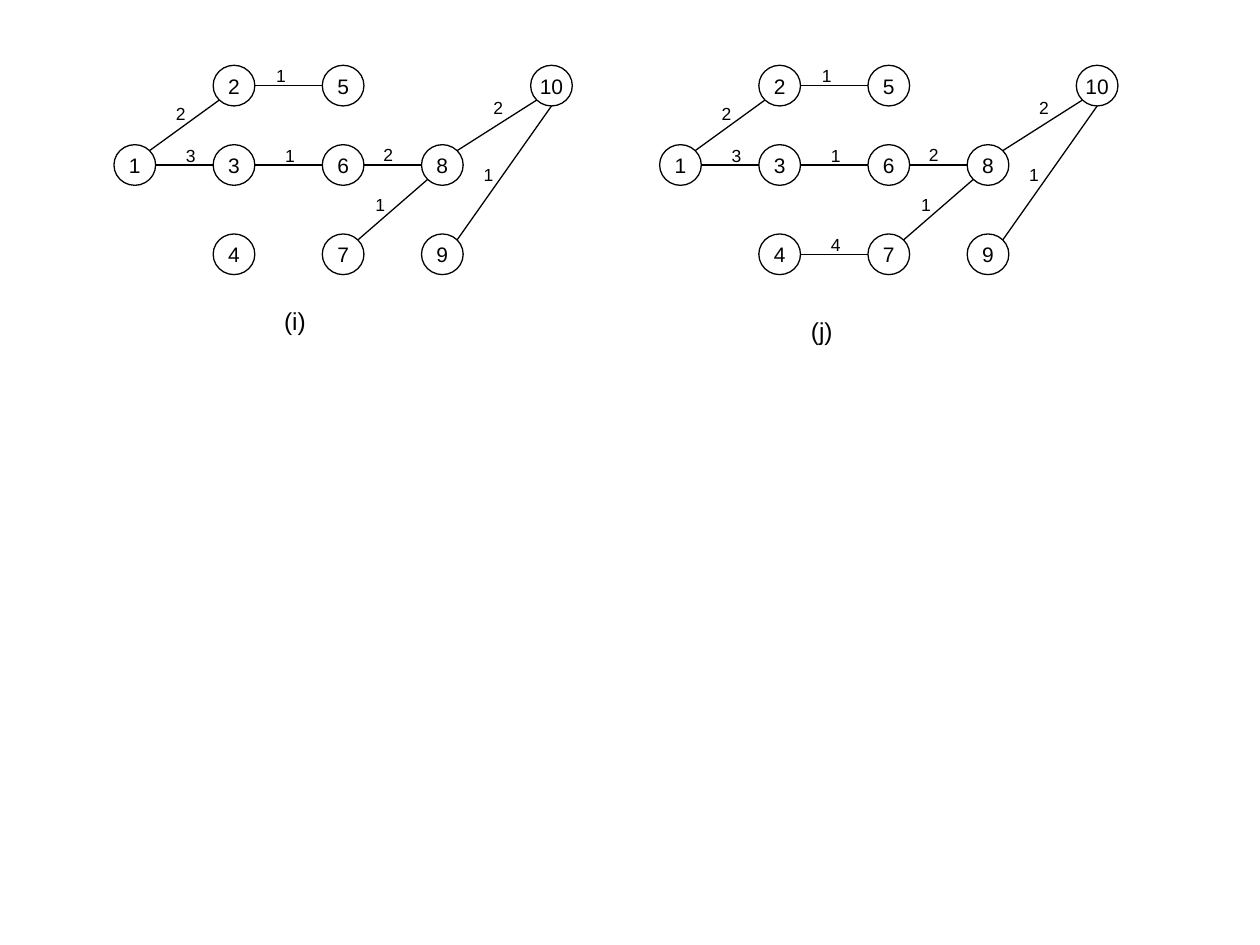
from dataclasses import dataclass
from math import hypot

from lxml.etree import SubElement
from pptx import Presentation
from pptx.dml.color import RGBColor
from pptx.enum.shapes import MSO_CONNECTOR as Connector, MSO_SHAPE as Shape
from pptx.enum.text import MSO_ANCHOR as Anchor, PP_ALIGN as Align
from pptx.oxml.ns import qn
from pptx.util import Inches, Mm, Pt


@dataclass
class Theme:
    ink: RGBColor = RGBColor(0, 0, 0)
    paper: RGBColor = RGBColor(255, 255, 255)
    font: str = "Arial"
    caption: int = 14
    node: int = 12
    weight: int = 10
    line: float = 0.75


UNIT = Mm(2)
LEFT, TOP = Inches(1.07), Inches(0.68)
PANEL_STEP = 55
NODE_SIZE = (4.2, 4.1)
CAPTION_SIZE = (6, 4.1)
WEIGHT_SIZE = (3.2, 4.1)
COLS = (0, 10, 21, 31, 42)
ROWS = (0, 8, 17)

NODES = {
    "1": (0, 1), "2": (1, 0), "3": (1, 1), "4": (1, 2), "5": (2, 0),
    "6": (2, 1), "7": (2, 2), "8": (3, 1), "9": (3, 2), "10": (4, 0),
}
DOWN, LEFTWARD, RIGHTWARD = (0, 1), (-1, 0), (1, 0)
UP_RIGHT, DOWN_LEFT = (1, -1), (-1, 1)

EDGES = [
    ("2", RIGHTWARD, "5", LEFTWARD, "1", (14.6, -1)),
    ("3", RIGHTWARD, "6", LEFTWARD, "1", (15.5, 7)),
    ("7", UP_RIGHT, "8", DOWN_LEFT, "1", (24.6, 12)),
    ("9", UP_RIGHT, "10", DOWN, "1", (35.5, 9)),
    ("1", UP_RIGHT, "2", DOWN_LEFT, "2", (4.5, 2.8)),
    ("8", UP_RIGHT, "10", DOWN_LEFT, "2", (36.5, 2.2)),
    ("6", RIGHTWARD, "8", LEFTWARD, "2", (25.4, 6.9)),
    ("1", RIGHTWARD, "3", LEFTWARD, "3", (5.5, 7)),
]
LAST_EDGE = ("4", RIGHTWARD, "7", LEFTWARD, "4", (15.5, 16))
PANELS = [
    ("(i)", (16.8, 24), EDGES),
    ("(j)", (14.9, 25), EDGES + [LAST_EDGE]),
]


class GraphSlide:
    def __init__(self, s, theme):
        self.s, self.theme, self.shift = s, theme, 0

    def point(self, x, y):
        return LEFT + round((x + self.shift) * UNIT), TOP + round(y * UNIT)

    def box(self, center, size):
        (x, y), (w, h) = center, size
        return *self.point(x - w / 2, y - h / 2), round(w * UNIT), round(h * UNIT)

    def add_text(self, sp, text, size, align=Align.CENTER, anchor=Anchor.MIDDLE, wrap=True):
        tf = sp.text_frame
        tf.word_wrap, tf.vertical_anchor = wrap, anchor
        p = tf.paragraphs[0]
        p.alignment = align
        r = p.add_run()
        r.text = text
        r.font.name, r.font.size = self.theme.font, Pt(size)
        r.font.color.rgb = self.theme.ink
        return p

    def caption(self, text, center):
        sp = self.s.shapes.add_textbox(*self.box(center, CAPTION_SIZE))
        p = self.add_text(sp, text, self.theme.caption, Align.LEFT, Anchor.TOP)
        p.line_spacing = 0.9

    def weight(self, text, center):
        sp = self.s.shapes.add_textbox(*self.box(center, WEIGHT_SIZE))
        self.add_text(sp, text, self.theme.weight)

    def center(self, name):
        col, row = NODES[name]
        return COLS[col], ROWS[row]

    def node(self, name):
        sp = self.s.shapes.add_shape(Shape.OVAL, *self.box(self.center(name), NODE_SIZE))
        sp.shadow.inherit = False
        sp.fill.solid()
        sp.fill.fore_color.rgb = self.theme.paper
        sp.line.color.rgb, sp.line.width = self.theme.ink, Pt(self.theme.line)
        self.add_text(sp, name, self.theme.node, wrap=False)

    def rim(self, name, side):
        (x, y), (dx, dy), (w, h) = self.center(name), side, NODE_SIZE
        length = hypot(dx, dy)
        return self.point(x + dx / length * w / 2, y + dy / length * h / 2)

    def edge(self, start, start_side, end, end_side, weight, center):
        ends = *self.rim(start, start_side), *self.rim(end, end_side)
        link = self.s.shapes.add_connector(Connector.STRAIGHT, *ends)
        link.line.color.rgb, link.line.width = self.theme.ink, Pt(self.theme.line)
        SubElement(link._element.spPr, qn("a:effectLst"))
        self.weight(weight, center)

    def panel(self, index, caption, caption_center, edges):
        self.shift = index * PANEL_STEP
        self.caption(caption, caption_center)
        for name in NODES:
            self.node(name)
        for edge in edges:
            self.edge(*edge)


def main():
    prs = Presentation()
    prs.slide_width, prs.slide_height = Inches(10), Inches(7.5)
    s = prs.slides.add_slide(prs.slide_layouts[6])
    graph = GraphSlide(s, Theme())
    for index, panel in enumerate(PANELS):
        graph.panel(index, *panel)
    prs.save("out.pptx")


if __name__ == "__main__":
    main()
